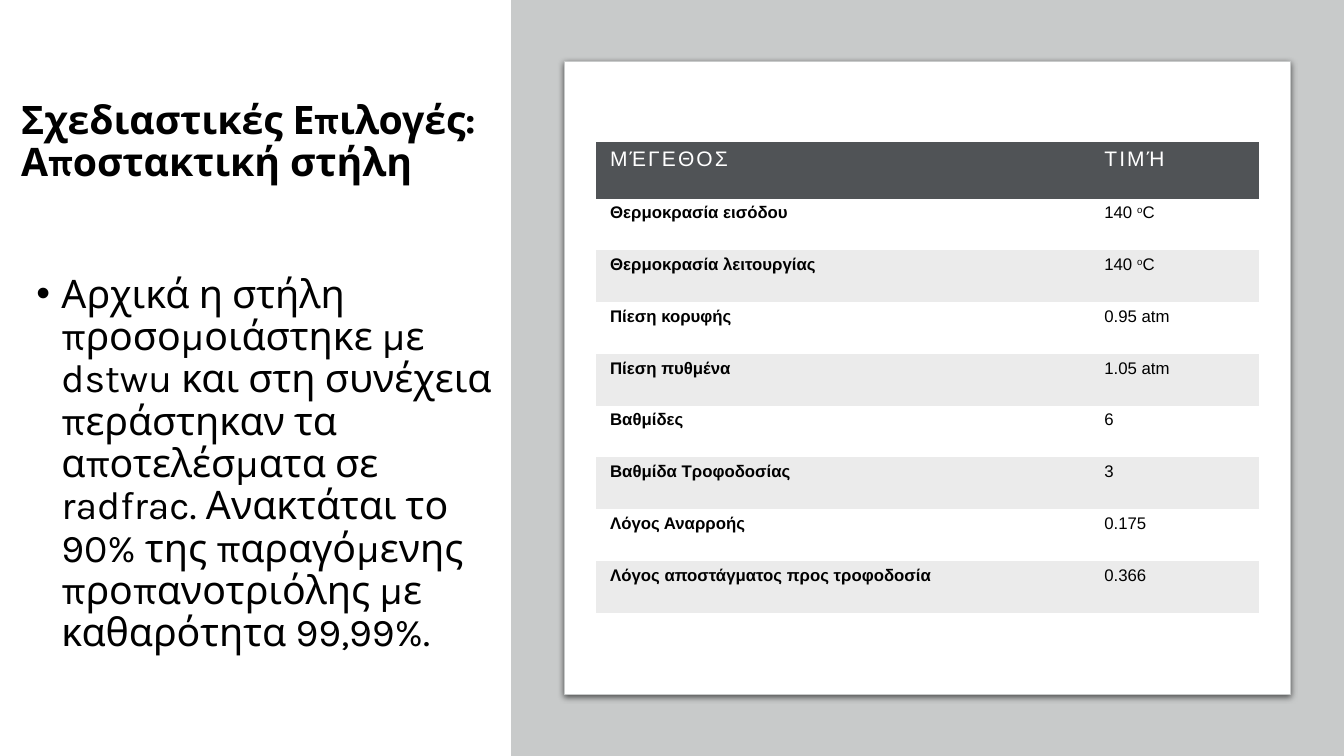
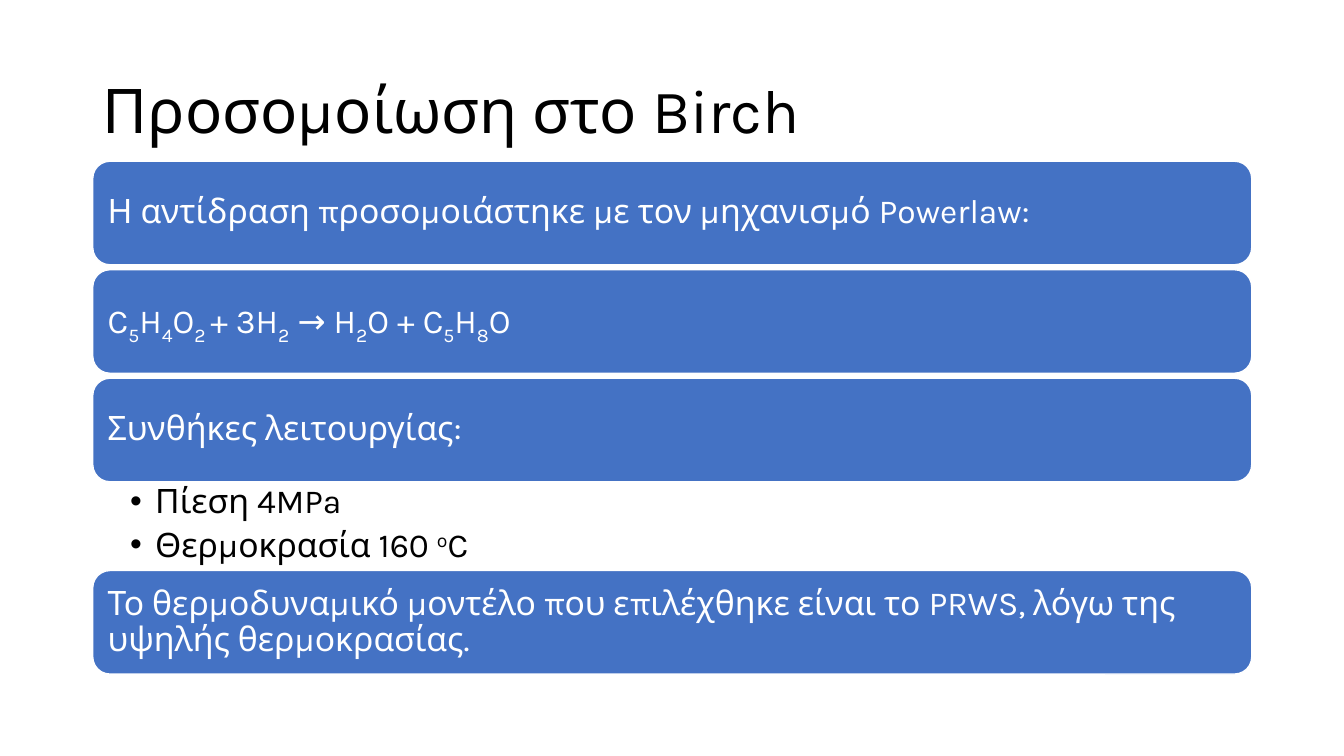
from lxml import etree
from pptx import Presentation
from pptx.dml.color import RGBColor
from pptx.enum.shapes import MSO_SHAPE
from pptx.enum.text import MSO_ANCHOR, MSO_AUTO_SIZE, PP_ALIGN
from pptx.oxml.ns import qn
from pptx.util import Emu, Inches, Pt

SLIDE_WIDTH, SLIDE_HEIGHT = Inches(13.33), Inches(7.5)
RECTANGLE, ROUNDED = MSO_SHAPE.RECTANGLE, MSO_SHAPE.ROUNDED_RECTANGLE
TOP, MIDDLE = MSO_ANCHOR.TOP, MSO_ANCHOR.MIDDLE
NO_AUTOFIT, LEFT = MSO_AUTO_SIZE.NONE, PP_ALIGN.LEFT
TITLE_AND_BODY, TITLE_ONLY = 1, 5
BODY_FONT, TABLE_FONT = "Karla", "Arial"
BLACK, WHITE, BLUE = "000000", "FFFFFF", "4472C4"
GREY, DARK_GREY, BAND_GREY = "C8CACA", "505356", "EBEBEB"
SUPERSCRIPT, SUBSCRIPT = 30, -25
PLAIN_TABLE_STYLE = "{2D5ABB26-0587-4C30-8999-92F81FD0307C}"

COLUMN_VALUES = [
    ("ΜΈΓΕΘΟΣ", "ΤΙΜΉ"),
    ("Θερμοκρασία εισόδου", "140 |ο|C"),
    ("Θερμοκρασία λειτουργίας", "140 |ο|C"),
    ("Πίεση κορυφής", "0.95 atm"),
    ("Πίεση πυθμένα", "1.05 atm"),
    ("Βαθμίδες", "6"),
    ("Βαθμίδα Τροφοδοσίας", "3"),
    ("Λόγος Αναρροής", "0.175"),
    ("Λόγος αποστάγματος προς τροφοδοσία", "0.366"),
]
CARD_LEFT, CARD_WIDTH = 6.9, 86.24
CARD_TOP, CARD_HEIGHT, CARD_STEP = 21.33, 13.7, 14.35
CONDITIONS_HEIGHT = 11.74


def color(hex_text):
    """Return the colour for a hex string."""
    return RGBColor.from_string(hex_text)


def area(left, top, width, height):
    """Turn percentages of the slide's size into a position and a size."""
    return [Emu(int(whole * share / 100)) for whole, share in zip(
        (SLIDE_WIDTH, SLIDE_HEIGHT) * 2, (left, top, width, height))]


def write(paragraph, text, size=24, ink=BLACK, font=BODY_FONT, bold=False,
          shift=SUPERSCRIPT, tracking=0, line=0.9, before=0, after=0):
    """Write text whose every second part between bars is raised or lowered."""
    paragraph.alignment = LEFT
    paragraph.line_spacing = line
    paragraph.space_before, paragraph.space_after = Pt(before), Pt(after)
    for index, part in enumerate(text.split("|")):
        run = paragraph.add_run()
        run.text = part
        run.font.size, run.font.name, run.font.bold = Pt(size), font, bold
        run.font.color.rgb = color(ink)
        properties = run.font._element
        if index % 2:
            properties.set("baseline", str(shift * 1000))
        if tracking:
            properties.set("spc", str(int(tracking * 100)))


def add_bullet(paragraph):
    """Give a paragraph a hanging bullet."""
    properties = paragraph._p.get_or_add_pPr()
    properties.set("marL", str(Inches(0.25)))
    properties.set("indent", str(-Inches(0.25)))
    etree.SubElement(properties, qn("a:buFont"), typeface="Arial")
    etree.SubElement(properties, qn("a:buChar"), char="•")


def set_frame(frame, margins, anchor):
    """Set wrapping, insets (left, top, right, bottom) and anchor of a text frame."""
    frame.word_wrap = True
    frame.auto_size = NO_AUTOFIT
    frame.vertical_anchor = anchor
    (frame.margin_left, frame.margin_top,
     frame.margin_right, frame.margin_bottom) = map(Inches, margins)


def fill_placeholder(placeholder, place, text, anchor, **text_format):
    """Move a placeholder, write its text and return its paragraph."""
    (placeholder.left, placeholder.top,
     placeholder.width, placeholder.height) = area(*place)
    set_frame(placeholder.text_frame, (0.1, 0.05, 0.1, 0.05), anchor)
    paragraph = placeholder.text_frame.paragraphs[0]
    write(paragraph, text, **text_format)
    return paragraph


def add_box(slide, kind, place, fill, outline=None, outline_width=1):
    """Add a filled shape without a shadow."""
    shape = slide.shapes.add_shape(kind, *area(*place))
    shape.shadow.inherit = False
    shape.fill.solid()
    shape.fill.fore_color.rgb = color(fill)
    if outline:
        shape.line.color.rgb = color(outline)
        shape.line.width = Pt(outline_width)
    else:
        shape.line.fill.background()
    return shape


def add_soft_shadow(shape):
    """Put a soft black shadow below a shape."""
    effects = shape._element.spPr.find(qn("a:effectLst"))
    shadow = etree.SubElement(
        effects, qn("a:outerShdw"), blurRad=str(Pt(4.5)), dist=str(Pt(1.5)),
        dir="5400000", algn="t", rotWithShape="0")
    ink = etree.SubElement(shadow, qn("a:srgbClr"), val=BLACK)
    etree.SubElement(ink, qn("a:alpha"), val="63000")


def add_card(slide, top, text, **text_format):
    """Add a blue rounded card with white text."""
    card = add_box(slide, ROUNDED, (CARD_LEFT, top, CARD_WIDTH, CARD_HEIGHT),
                   BLUE, WHITE)
    set_frame(card.text_frame, (0.1,) * 4, MIDDLE)
    write(card.text_frame.paragraphs[0], text, ink=WHITE, **text_format)


def add_bullets(slide, place, items):
    """Add a text box of bulleted lines."""
    frame = slide.shapes.add_textbox(*area(*place)).text_frame
    set_frame(frame, (0.37, 0.03, 0.19, 0.03), TOP)
    for index, item in enumerate(items):
        paragraph = frame.add_paragraph() if index else frame.paragraphs[0]
        write(paragraph, item, after=5)
        add_bullet(paragraph)


def fill_cell(cell, text, fill, **text_format):
    """Set the fill, insets and text of a table cell."""
    if fill:
        cell.fill.solid()
        cell.fill.fore_color.rgb = color(fill)
    else:
        cell.fill.background()
    cell.margin_left = cell.margin_right = Inches(0.14)
    cell.margin_top = cell.margin_bottom = Inches(0.05)
    write(cell.text_frame.paragraphs[0], text, font=TABLE_FONT, line=1, **text_format)


def add_value_table(slide, place, rows):
    """Add a table with a dark heading and grey bands."""
    frame = slide.shapes.add_table(len(rows), len(rows[0]), *area(*place))
    table = frame.table
    table._tbl.tblPr.find(qn("a:tableStyleId")).text = PLAIN_TABLE_STYLE
    width, height = frame.width, frame.height
    for column, share in zip(table.columns, (0.745, 0.255)):
        column.width = int(width * share)
    for row_index, values in enumerate(rows):
        heading = row_index == 0
        table.rows[row_index].height = int(height * (0.12 if heading else 0.11))
        for column_index, value in enumerate(values):
            cell = table.cell(row_index, column_index)
            if heading:
                fill_cell(cell, value, DARK_GREY, size=15, ink=WHITE, tracking=1.5)
            else:
                fill_cell(cell, value, None if row_index % 2 else BAND_GREY,
                          size=12, bold=column_index == 0)


def add_slide(presentation, layout, place, title, **text_format):
    """Add a slide with a placed title."""
    slide = presentation.slides.add_slide(presentation.slide_layouts[layout])
    fill_placeholder(slide.shapes.title, place, title, MIDDLE, **text_format)
    return slide


def build_column_slide(presentation):
    """Build the slide on the distillation column."""
    slide = add_slide(presentation, TITLE_AND_BODY, (0.83, 7.07, 42.4, 23.6),
                      "Σχεδιαστικές Επιλογές: Αποστακτική στήλη",
                      size=28, bold=True)
    paragraph = fill_placeholder(
        slide.placeholders[1], (1.95, 35.6, 36.08, 55.2),
        "Αρχικά η στήλη προσομοιάστηκε με dstwu και στη συνέχεια περάστηκαν τα "
        "αποτελέσματα σε radfrac. Ανακτάται το 90% της παραγόμενης "
        "προπανοτριόλης με καθαρότητα 99,99%.",
        TOP, size=28, before=10)
    add_bullet(paragraph)
    add_box(slide, RECTANGLE, (38.03, 0, 61.97, 100), GREY)
    panel = add_box(slide, RECTANGLE, (42, 8.13, 54, 83.73), WHITE, GREY, 0.75)
    add_soft_shadow(panel)
    add_value_table(slide, (44.35, 18.8, 49.36, 62.27), COLUMN_VALUES)


def build_simulation_slide(presentation):
    """Build the slide on the reaction simulation."""
    slide = add_slide(presentation, TITLE_ONLY,
                      (CARD_LEFT, 5.33, CARD_WIDTH, 19.33),
                      "Προσομοίωση στο Birch", size=44)
    cards = ["Η αντίδραση προσομοιάστηκε με τον μηχανισμό Powerlaw:",
             "C|5|H|4|O|2 |+ 3H|2| → H|2|O + C|5|H|8|O",
             "Συνθήκες λειτουργίας:"]
    for index, text in enumerate(cards):
        add_card(slide, CARD_TOP + index * CARD_STEP, text, shift=SUBSCRIPT)
    conditions_top = CARD_TOP + (len(cards) - 1) * CARD_STEP + CARD_HEIGHT
    add_bullets(slide, (CARD_LEFT, conditions_top, CARD_WIDTH, CONDITIONS_HEIGHT),
                ["Πίεση 4MPa", "Θερμοκρασία 160 |o|C"])
    add_card(slide, conditions_top + CONDITIONS_HEIGHT,
             "Το θερμοδυναμικό μοντέλο που επιλέχθηκε είναι το PRWS, λόγω της "
             "υψηλής θερμοκρασίας.")


def main():
    """Build and save the presentation."""
    presentation = Presentation()
    presentation.slide_width, presentation.slide_height = SLIDE_WIDTH, SLIDE_HEIGHT
    build_column_slide(presentation)
    build_simulation_slide(presentation)
    presentation.save("out.pptx")


if __name__ == "__main__":
    main()
